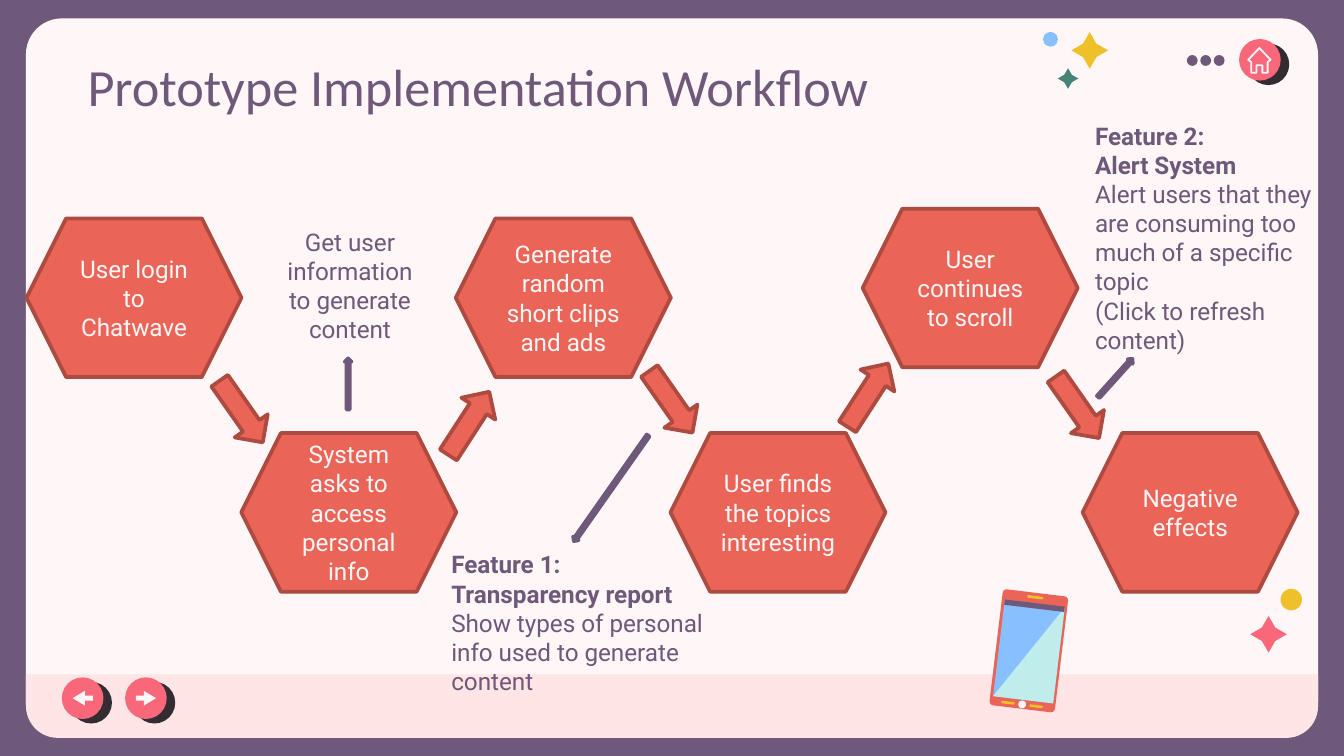
from lxml.etree import SubElement
from pptx import Presentation
from pptx.dml.color import RGBColor
from pptx.enum.shapes import MSO_SHAPE as Preset
from pptx.enum.text import MSO_ANCHOR as Anchor, PP_ALIGN as Align
from pptx.oxml.ns import qn
from pptx.util import Pt

PURPLE = RGBColor(0x6E, 0x59, 0x7A)
CREAM = RGBColor(0xFF, 0xF6, 0xF7)
BLUSH = RGBColor(0xFF, 0xE5, 0xE6)
PINK = RGBColor(0xF9, 0x67, 0x7A)
CORAL = RGBColor(0xEA, 0x65, 0x57)
BRICK = RGBColor(0xAD, 0x4B, 0x40)
YELLOW = RGBColor(0xEE, 0xC1, 0x2B)
GREEN = RGBColor(0x46, 0x84, 0x78)
BLUE = RGBColor(0x88, 0xBF, 0xFF)
MINT = RGBColor(0xBF, 0xED, 0xEB)
SHADOW = RGBColor(0x33, 0x2C, 0x33)

PHONE_TILT = 6.9
DOWN, UP = 55, 302.9


def write_text(frame, lines, size=13, font="Roboto", color=PURPLE, align=Align.LEFT, bold_lines=0):
    frame.word_wrap = True
    for index, line in enumerate(lines):
        paragraph = frame.paragraphs[0] if index == 0 else frame.add_paragraph()
        paragraph.alignment = align
        run = paragraph.add_run()
        run.text = line
        run.font.size = Pt(size)
        run.font.name = font
        run.font.color.rgb = color
        run.font.bold = index < bold_lines


class WorkflowSlide:
    """Draws the workflow elements on one slide in a shared style."""

    def __init__(self, slide):
        self.slide = slide
        self.shapes = slide.shapes
        slide.background.fill.solid()
        slide.background.fill.fore_color.rgb = PURPLE

    def paint(self, shape, fill=None, line=None, width=2, rotation=0):
        shape.shadow.inherit = False
        shape.rotation = rotation
        if fill is None:
            shape.fill.background()
        else:
            shape.fill.solid()
            shape.fill.fore_color.rgb = fill
        if line is None:
            shape.line.fill.background()
        else:
            shape.line.color.rgb = line
            shape.line.width = Pt(width)
        return shape

    def shape(self, preset, left, top, width, height, fill, adjustments=(), **style):
        shape = self.shapes.add_shape(preset, Pt(left), Pt(top), Pt(width), Pt(height))
        for index, value in enumerate(adjustments):
            shape.adjustments[index] = value
        return self.paint(shape, fill, **style)

    def outline(self, points, **style):
        start, *rest = [(Pt(x), Pt(y)) for x, y in points]
        builder = self.shapes.build_freeform(*start)
        builder.add_line_segments(rest, close=True)
        return self.paint(builder.convert_to_shape(), **style)

    def dot(self, left, top, size, fill, **style):
        return self.shape(Preset.OVAL, left, top, size, size, fill, **style)

    def sparkle(self, left, top, size, fill):
        self.shape(Preset.STAR_4_POINT, left, top, size, size, fill, [0.26])

    def button(self, left, top):
        shape = self.dot(left, top, 22.3, PINK)
        effects = shape._element.spPr.find(qn("a:effectLst"))
        shadow = SubElement(effects, qn("a:outerShdw"), dist=str(Pt(5.2)), dir=str(28 * 60000),
                            algn="bl", rotWithShape="0")
        SubElement(shadow, qn("a:srgbClr"), val=str(SHADOW))

    def arrow_button(self, left, preset):
        self.button(left, 362.9)
        self.shape(preset, left + 5.8, 370.1, 10.8, 7.9, CREAM, [0.33, 0.83])

    def home_button(self):
        self.button(663.8, 20.9)
        center = 674.7
        half = [(0, 25.7), (6, 32), (4.4, 33.3), (4.4, 39), (1.6, 39), (1.6, 35)]
        right = [(center + x, y) for x, y in half]
        left = [(center - x, y) for x, y in half[:0:-1]]
        self.outline(right + left, line=CREAM, width=1)

    def phone(self):
        tilt = {"rotation": PHONE_TILT}
        left, top, width, height = 535, 323.3, 32.4, 51.8
        self.shape(Preset.ROUNDED_RECTANGLE, 533.5, 317.4, 35.3, 62.6, CORAL, [0.06], **tilt)
        self.shape(Preset.RECTANGLE, left, top, width, height, BLUE, **tilt)
        corners = [(left + width, top), (left, top + height), (left + width, top + height)]
        self.outline(corners, fill=MINT, **tilt)
        self.shape(Preset.RECTANGLE, 538, 323.1, width, 2.9, PURPLE, **tilt)
        for x, y, length in ((536.4, 375.8, 7.2), (551.5, 377.7, 7.2), (550.3, 319.3, 8.6)):
            self.shape(Preset.ROUNDED_RECTANGLE, x, y, length, 1.4, YELLOW, [0.5], **tilt)
        self.dot(545.5, 375.3, 4.2, CREAM)

    def step(self, text, left, top):
        shape = self.shape(Preset.HEXAGON, left, top, 115.2, 85, CORAL, line=BRICK)
        shape.text_frame.vertical_anchor = Anchor.MIDDLE
        write_text(shape.text_frame, [text], color=CREAM, align=Align.CENTER)

    def arrow(self, x, y, rotation, length=40.3, height=21.6, fill=CORAL, line=BRICK):
        self.shape(Preset.RIGHT_ARROW, x - length / 2, y - height / 2, length, height, fill,
                   line=line, rotation=rotation)

    def pointer(self, x, y, rotation, length):
        self.arrow(x, y, rotation, length, 3.6, PURPLE, PURPLE)

    def text(self, lines, left, top, width, height, **style):
        box = self.shapes.add_textbox(Pt(left), Pt(top), Pt(width), Pt(height))
        write_text(box.text_frame, lines, **style)
        return box


def main():
    presentation = Presentation()
    presentation.slide_width, presentation.slide_height = Pt(720), Pt(405)
    page = WorkflowSlide(presentation.slides.add_slide(presentation.slide_layouts[6]))

    page.shape(Preset.ROUNDED_RECTANGLE, 13.9, 9.9, 692.2, 385.4, CREAM, [0.05])
    page.shape(Preset.ROUND_2_SAME_RECTANGLE, 13.9, 361.3, 692.2, 34, BLUSH, [0.5, 0], rotation=180)
    for index in range(3):
        page.dot(635.8 + 7.2 * index, 29.5, 5.8, PURPLE)
    page.sparkle(574, 17.2, 19.6, YELLOW)
    page.sparkle(566.7, 36.6, 11, GREEN)
    page.dot(558.8, 17.1, 7.9, BLUE)
    page.sparkle(669.8, 330, 19.6, PINK)
    page.dot(686, 315.5, 11.5, YELLOW)

    title = page.text(["Prototype Implementation Workflow"], 39.8, 22, 540.7, 62,
                      size=28, font="Calibri")
    title.text_frame.margin_top = title.text_frame.margin_bottom = Pt(7.2)

    page.home_button()
    page.phone()
    page.arrow_button(67, Preset.RIGHT_ARROW)
    page.arrow_button(33.1, Preset.LEFT_ARROW)

    steps = [
        ("User login to Chatwave", 14.2, 117),
        ("System asks to access personal info", 129.3, 232),
        ("Generate random short clips and ads", 244.2, 117),
        ("User finds the topics interesting", 359.2, 232),
        ("User continues to scroll", 462.2, 111.8),
        ("Negative effects", 580, 232),
    ]
    for step in steps:
        page.step(*step)

    arrows = [(129.2, 220.5, DOWN), (251.2, 226.8, UP), (359.4, 215.3, DOWN),
              (465, 211.7, UP), (577.2, 218.2, DOWN)]
    for arrow in arrows:
        page.arrow(*arrow)

    pointers = [(327.3, 261.6, 125.1, 69.1), (597.5, 202.5, 312, 27.4), (186.5, 205.7, 270, 27.4)]
    for pointer in pointers:
        page.pointer(*pointer)

    page.text(["Feature 1:", "Transparency report",
               "Show types of personal info used to generate content"],
              234.7, 290.9, 151.2, 85.7, bold_lines=2)
    page.text(["Feature 2:", "Alert System",
               "Alert users that they are consuming too much of a specific topic",
               "(Click to refresh content)"],
              579.6, 61.2, 133.9, 133.2, bold_lines=2)
    page.text(["Get user information", "to generate content"],
              127.4, 118, 120.2, 70.6, align=Align.CENTER)

    presentation.save("out.pptx")


if __name__ == "__main__":
    main()
